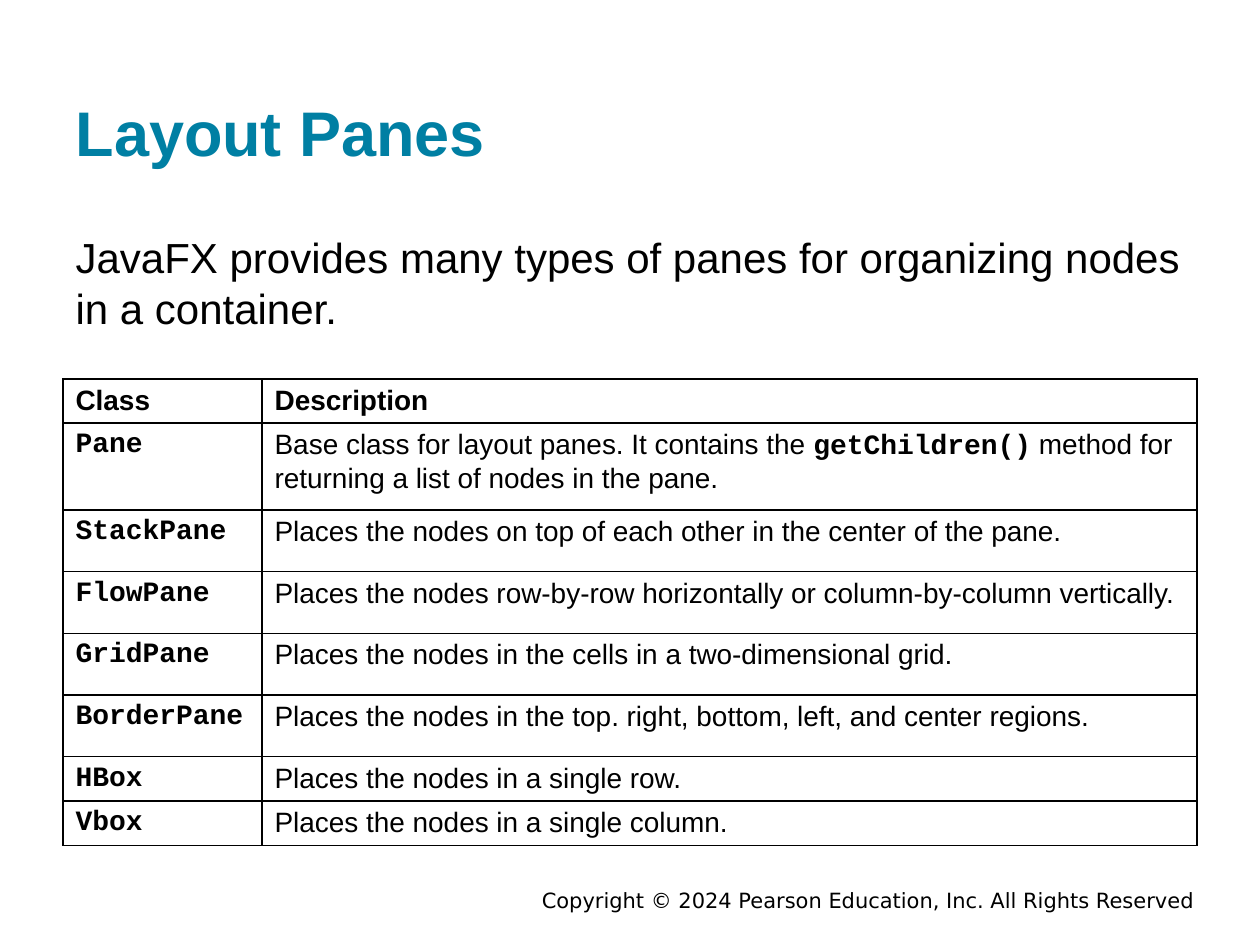
from dataclasses import dataclass

from lxml import etree
from pptx import Presentation
from pptx.dml.color import RGBColor
from pptx.enum.text import MSO_ANCHOR, MSO_AUTO_SIZE, PP_ALIGN
from pptx.oxml.ns import qn
from pptx.util import Pt

TOP, MIDDLE, BOTTOM = MSO_ANCHOR.TOP, MSO_ANCHOR.MIDDLE, MSO_ANCHOR.BOTTOM
LEFT, RIGHT = PP_ALIGN.LEFT, PP_ALIGN.RIGHT


@dataclass(frozen=True)
class Theme:
    title: str = "007FA3"
    ink: str = "000000"
    paper: str = "FFFFFF"
    title_size: int = 36
    body_size: int = 24
    table_size: int = 16
    footer_size: int = 12
    sans: str = "Arial"
    code: str = "Courier New"
    footer: str = "DejaVu Sans"


theme = Theme()


def add_span(para, text, name, size, color, bold=False):
    span = para.add_run()
    span.text = text
    span.font.color.rgb = RGBColor.from_string(color)
    for key, value in {"name": name, "size": Pt(size), "bold": bold}.items():
        setattr(span.font, key, value)


def add_borders(cell):
    """Draw a 1 pt line on each side and put the lines before the fill, as the schema asks."""
    properties = cell._tc.get_or_add_tcPr()
    for index, side in enumerate(("a:lnL", "a:lnR", "a:lnT", "a:lnB")):
        line = etree.Element(qn(side), w=str(Pt(1)))
        fill = etree.SubElement(line, qn("a:solidFill"))
        etree.SubElement(fill, qn("a:srgbClr"), val=theme.ink)
        properties.insert(index, line)


deck = Presentation()
deck.slide_width, deck.slide_height = Pt(720), Pt(540)
page = deck.slides.add_slide(deck.slide_layouts[1])
title, body = page.placeholders
footer = page.shapes.add_textbox(0, 0, 0, 0)

# Title, introduction and footer
texts = [
    (title, (36, 17.28, 648, 86.4), (7.2, 7.2), BOTTOM, LEFT, "Layout Panes",
     (theme.sans, theme.title_size, theme.title, True)),
    (body, (36, 122.4, 660.96, 74.88), (10, 7.2), TOP, LEFT,
     "JavaFX provides many types of panes for organizing nodes in a container.",
     (theme.sans, theme.body_size, theme.ink)),
    (footer, (126, 506.16, 563.76, 15.84), (3.6, 3.6), MIDDLE, RIGHT,
     "Copyright © 2024 Pearson Education, Inc. All Rights Reserved",
     (theme.footer, theme.footer_size, theme.ink)),
]
for box, place, (inset_top, inset_bottom), anchor, alignment, text, style in texts:
    for key, value in zip(("left", "top", "width", "height"), place):
        setattr(box, key, Pt(value))
    frame = box.text_frame
    frame_format = {
        "word_wrap": True, "auto_size": MSO_AUTO_SIZE.NONE, "vertical_anchor": anchor,
        "margin_left": Pt(7.2), "margin_right": Pt(7.2),
        "margin_top": Pt(inset_top), "margin_bottom": Pt(inset_bottom),
    }
    for key, value in frame_format.items():
        setattr(frame, key, value)
    para = frame.paragraphs[0]
    para.alignment = alignment
    para.space_before = Pt(0)
    add_span(para, text, *style)

body_properties = body.text_frame.paragraphs[0]._p.get_or_add_pPr()
body_properties.set("marL", "0")
body_properties.set("indent", "0")
etree.SubElement(body_properties, qn("a:buNone"))

# Table of pane classes: row height, class name, description as (text, is code) spans
pane_rows = [
    (22.32, "Class", [("Description", False)]),
    (49.68, "Pane", [("Base class for layout panes. It contains the ", False),
                     ("getChildren()", True),
                     (" method for returning a list of nodes in the pane.", False)]),
    (35.28, "StackPane",
     [("Places the nodes on top of each other in the center of the pane.", False)]),
    (35.28, "FlowPane",
     [("Places the nodes row-by-row horizontally or column-by-column vertically.", False)]),
    (35.28, "GridPane",
     [("Places the nodes in the cells in a two-dimensional grid.", False)]),
    (35.28, "BorderPane",
     [("Places the nodes in the top. right, bottom, left, and center regions.", False)]),
    (22.32, "HBox", [("Places the nodes in a single row.", False)]),
    (22.32, "Vbox", [("Places the nodes in a single column.", False)]),
]
column_widths = (113.76, 534.24)
table_height = sum(height for height, _, _ in pane_rows)
table = page.shapes.add_table(
    len(pane_rows), len(column_widths),
    Pt(36), Pt(216.72), Pt(sum(column_widths)), Pt(table_height)).table
for column, width in zip(table.columns, column_widths):
    column.width = Pt(width)

for row_index, (height, class_name, description) in enumerate(pane_rows):
    is_header = row_index == 0
    row = table.rows[row_index]
    row.height = Pt(height)
    for cell, spans in zip(row.cells, ([(class_name, not is_header)], description)):
        cell.fill.solid()
        cell.fill.fore_color.rgb = RGBColor.from_string(theme.paper)
        cell.vertical_anchor = BOTTOM if is_header else TOP
        add_borders(cell)
        for text, is_code in spans:
            add_span(cell.text_frame.paragraphs[0], text,
                     theme.code if is_code else theme.sans,
                     theme.table_size, theme.ink, is_code or is_header)

deck.save("out.pptx")
